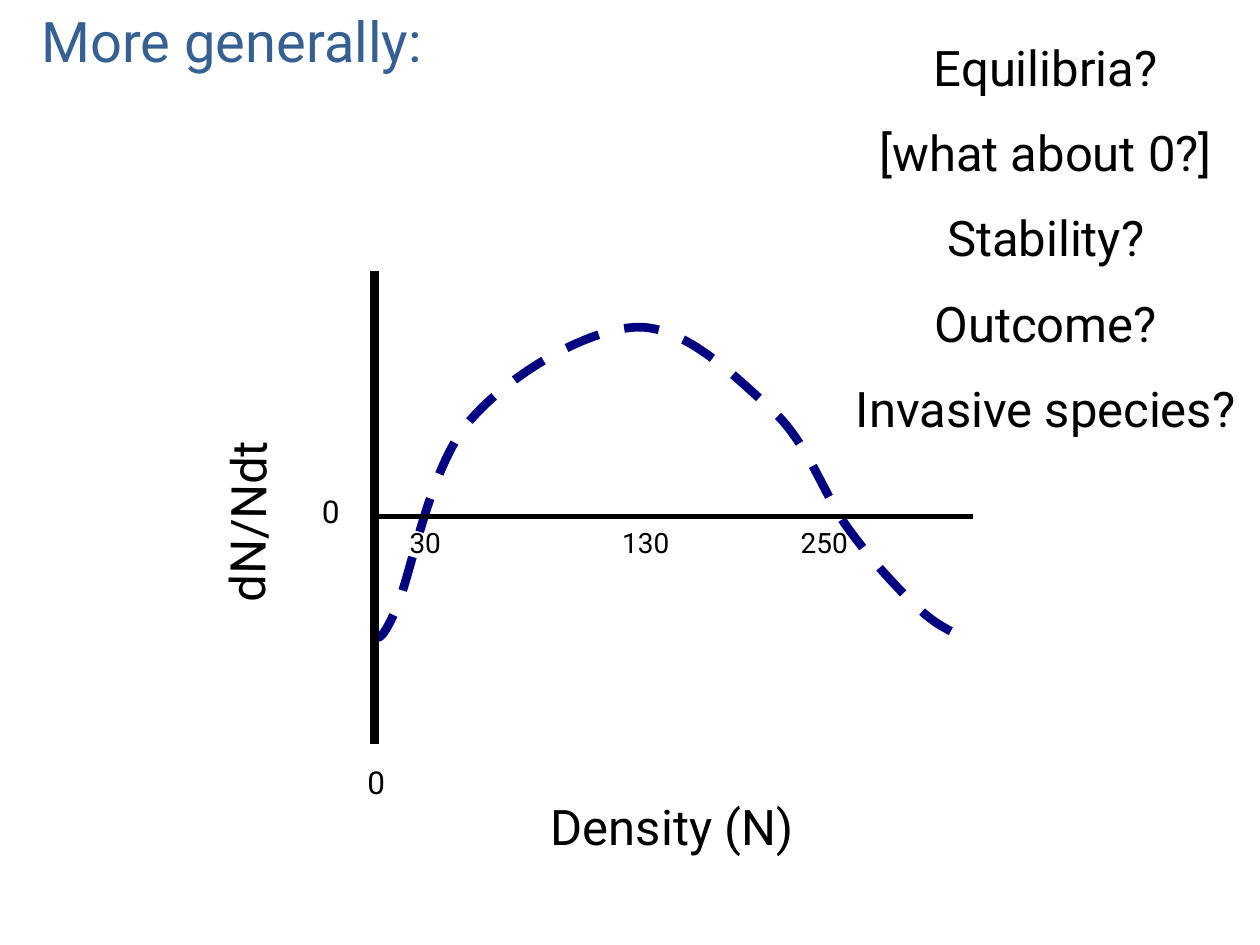
from lxml import etree
from pptx import Presentation
from pptx import util as u
from pptx.dml.color import RGBColor
from pptx.enum import dml, shapes, text
from pptx.oxml.ns import qn

FONT = "Roboto"
COLORS = {"title": "376092", "ink": "000000", "curve": "000080"}
QUESTIONS = ["Equilibria?", "[what about 0?]", "Stability?", "Outcome?", "Invasive species?"]
CURVE_START = (0, 66)
CURVE_SEGMENTS = [
    [(1, 70), (3, 74), (12, 54)],
    [(21, 34), (31, -27), (54, -54)],
    [(77, -81), (121, -107), (150, -108)],
    [(178, -109), (208, -78), (228, -60)],
    [(248, -41), (257, -12), (270, 6)],
    [(283, 24), (296, 38), (306, 48)],
    [(316, 58), (322, 62), (330, 66)],
]
LABELS = [
    ("0", (1, 152), (26, 29), 18, 0),
    ("Density (N)", (170, 177), (154, 41), 28, 0),
    ("0", (-25, -3), (36, 29), 18, 0.4),
    ("dN/Ndt", (-73, 3), (114, 41), 28, 270.6),
    ("30", (29, 15.5), (42, 27), 16, 0),
    ("130", (155, 15), (42, 27), 16, 0),
    ("250", (257, 15.5), (54, 27), 16, 0),
]


def color(name):
    """Return the palette colour with the given name."""
    return RGBColor.from_string(COLORS[name])


def place(shape, left, top, width, height):
    """Move and size a shape in points."""
    shape.left, shape.top = u.Pt(left), u.Pt(top)
    shape.width, shape.height = u.Pt(width), u.Pt(height)


def format_text(frame, size, color_name, space=0):
    """Centre the paragraphs of a frame and style their runs."""
    frame.auto_size = text.MSO_AUTO_SIZE.NONE
    frame.vertical_anchor = text.MSO_ANCHOR.TOP
    for index, paragraph in enumerate(frame.paragraphs):
        paragraph.alignment = text.PP_ALIGN.CENTER
        paragraph.space_before = u.Pt(space if index else 0)
        for run in paragraph.runs:
            run.font.name = FONT
            run.font.size = u.Pt(size)
            run.font.color.rgb = color(color_name)


def add_title(slide, box):
    """Fill the title placeholder."""
    title = slide.shapes.title
    place(title, *box)
    title.text_frame.text = "More generally:"
    format_text(title.text_frame, 32, "title")


def add_questions(slide, box):
    """Fill the body placeholder with unbulleted questions."""
    body = slide.placeholders[1]
    place(body, *box)
    frame = body.text_frame
    frame.text = "\n".join(QUESTIONS)
    for paragraph in frame.paragraphs:
        properties = paragraph._p.get_or_add_pPr()
        properties.set("marL", "0")
        properties.set("indent", "0")
        etree.SubElement(properties, qn("a:buNone"))
    format_text(frame, 28, "ink", space=15)


def add_axis(slide, start, end, weight):
    """Draw one straight axis without a shadow."""
    ends = [u.Pt(value) for value in (*start, *end)]
    axis = slide.shapes.add_connector(shapes.MSO_CONNECTOR.STRAIGHT, *ends)
    axis.line.color.rgb = color("ink")
    axis.line.width = u.Pt(weight)
    etree.SubElement(axis._element.spPr, qn("a:effectLst"))


def add_curve(slide, x, y):
    """Draw the dashed growth curve as Bezier segments from the origin."""
    start = [u.Pt(value) for value in CURVE_START]
    builder = slide.shapes.build_freeform(*start, scale=1.0)
    points = [(u.Pt(px), u.Pt(py)) for segment in CURVE_SEGMENTS for px, py in segment]
    builder.add_line_segments(points, close=False)
    curve = builder.convert_to_shape(u.Pt(x), u.Pt(y))
    outline = next(curve._element.iter(qn("a:path")))
    steps = outline.findall(qn("a:lnTo"))
    for index in range(0, len(steps), 3):
        bezier = etree.SubElement(outline, qn("a:cubicBezTo"))
        for step in steps[index:index + 3]:
            bezier.append(step[0])
            outline.remove(step)
    curve.shadow.inherit = False
    curve.fill.background()
    curve.line.color.rgb = color("curve")
    curve.line.width = u.Pt(5)
    curve.line.dash_style = dml.MSO_LINE.DASH


def add_label(slide, caption, center, size, font_size, rotation):
    """Place a rotatable label around its centre."""
    (x, y), (width, height) = center, size
    label = slide.shapes.add_textbox(0, 0, 0, 0)
    place(label, x - width / 2, y - height / 2, width, height)
    label.rotation = rotation
    label.text_frame.text = caption
    label.text_frame.word_wrap = False
    format_text(label.text_frame, font_size, "ink")


def add_growth_plot(slide, box):
    """Draw curve, axes and labels relative to the plot box."""
    left, top, width, height = box
    x, y = left + 130, top + 140
    add_curve(slide, x, y)
    add_axis(slide, (x, top), (x, top + height), 5)
    add_axis(slide, (x, y), (left + width, y), 3)
    for caption, (dx, dy), size, font_size, rotation in LABELS:
        add_label(slide, caption, (x + dx, y + dy), size, font_size, rotation)


def main():
    """Build and save the slide."""
    presentation = Presentation()
    presentation.slide_width, presentation.slide_height = u.Pt(720), u.Pt(540)
    slide = presentation.slides.add_slide(presentation.slide_layouts[1])
    add_title(slide, (9, 0, 247, 46))
    add_growth_plot(slide, (84, 155, 472, 270))
    add_questions(slide, (475, 18, 245, 296))
    presentation.save("out.pptx")


if __name__ == "__main__":
    main()
